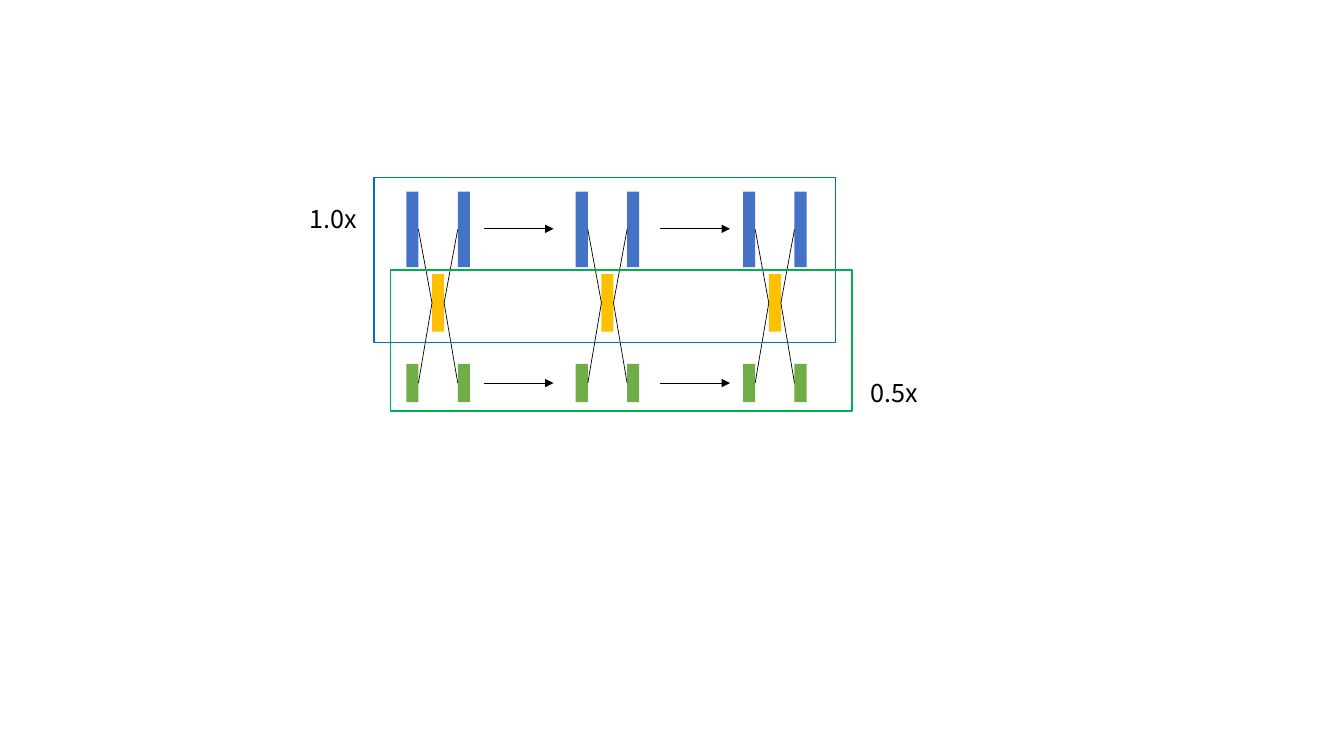
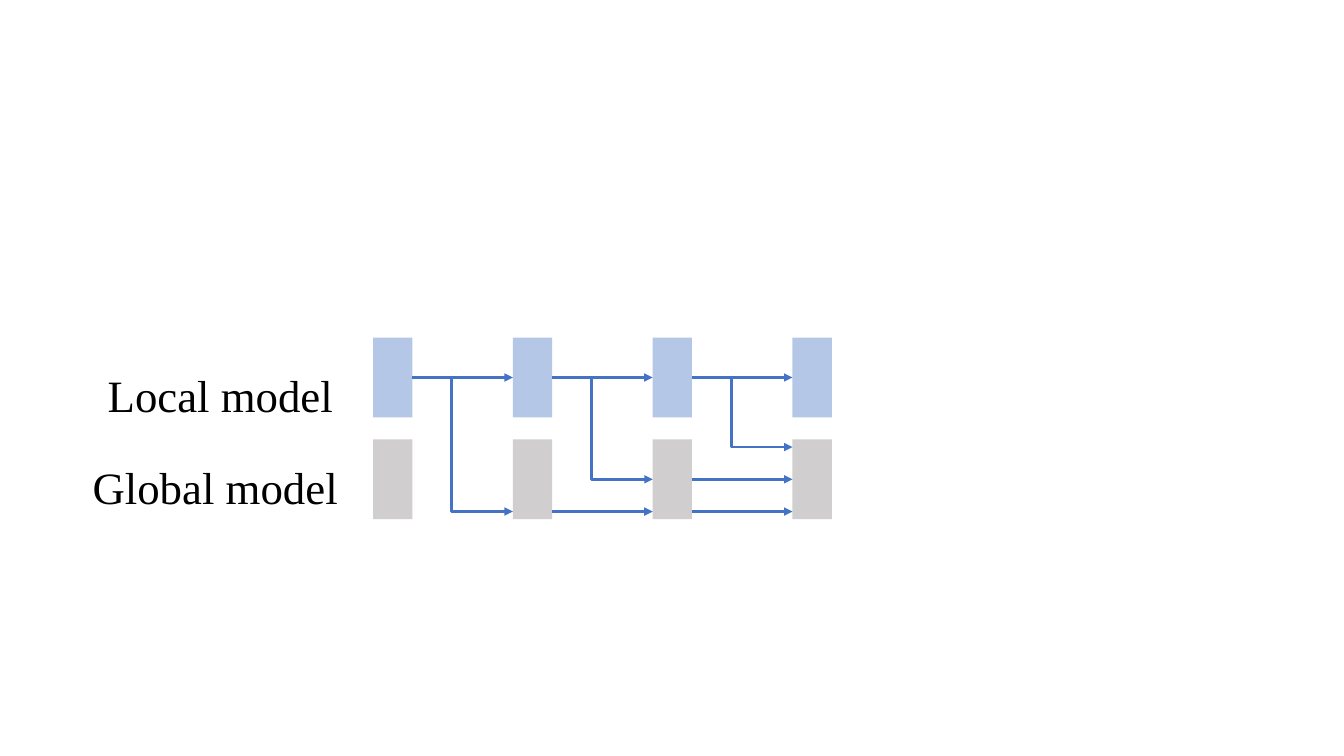
import dataclasses

import pptx
import pptx.dml.color
import pptx.enum.shapes
import pptx.oxml.ns
import pptx.util
import lxml.etree

SHAPE = pptx.enum.shapes.MSO_SHAPE
CONNECTOR = pptx.enum.shapes.MSO_CONNECTOR
inches = pptx.util.Inches
LEFT, RIGHT = 1, 3


@dataclasses.dataclass(frozen=True)
class Theme:
    """Colours, fonts and type sizes of both diagrams."""
    ink: str = "000000"
    full_scale: str = "4472C4"
    fusion: str = "FFC000"
    half_scale: str = "70AD47"
    full_frame: str = "0070C0"
    half_frame: str = "00B050"
    local: str = "B4C7E7"
    shared: str = "D0CECE"
    flow: str = "4472C4"
    scale_font: str = "Noto Sans CJK SC"
    scale_size: int = 18
    model_font: str = "Times New Roman"
    model_size: int = 32
    thin: float = 0.5
    frame: float = 1
    thick: float = 2


THEME = Theme()


def rgb(value):
    """Turn a hex string into a colour."""
    return pptx.dml.color.RGBColor.from_string(value)


def add_part(parent, tag, **attributes):
    """Append a DrawingML element to a parent element."""
    return lxml.etree.SubElement(parent, pptx.oxml.ns.qn(tag), attributes)


def add_block(slide, left, top, width, height, colour):
    """Draw a solid rectangle without an outline."""
    block = slide.shapes.add_shape(SHAPE.RECTANGLE, *map(inches, (left, top, width, height)))
    block.shadow.inherit = False
    block.fill.solid()
    block.fill.fore_color.rgb = rgb(colour)
    block.line.fill.background()
    return block


def add_frame(slide, left, top, width, height, colour):
    """Draw an outlined rectangle without a fill."""
    frame = add_block(slide, left, top, width, height, colour)
    frame.fill.background()
    frame.line.color.rgb = rgb(colour)
    frame.line.width = pptx.util.Pt(THEME.frame)


def add_label(slide, text, left, top, width, height, font, size):
    """Write a one-line label."""
    label = slide.shapes.add_textbox(*map(inches, (left, top, width, height)))
    label.text_frame.word_wrap = True
    label.text_frame.text = text
    run = label.text_frame.paragraphs[0].runs[0]
    run.font.name = font
    run.font.size = pptx.util.Pt(size)
    run.font.color.rgb = rgb(THEME.ink)


def style_line(line, colour, weight, arrow):
    """Colour a connector, drop its shadow and add an arrowhead if wanted."""
    line.line.color.rgb = rgb(colour)
    line.line.width = pptx.util.Pt(weight)
    properties = line._element.spPr
    if arrow:
        add_part(properties.find(pptx.oxml.ns.qn("a:ln")), "a:tailEnd", type="triangle")
    add_part(properties, "a:effectLst")


def add_arrow(slide, start, end, y, colour, weight):
    """Draw a free horizontal arrow."""
    arrow = slide.shapes.add_connector(CONNECTOR.STRAIGHT, *map(inches, (start, y, end, y)))
    style_line(arrow, colour, weight, True)


def join(slide, source, source_side, target, target_side, colour, weight, arrow=False):
    """Join the side middles of two blocks."""
    link = slide.shapes.add_connector(
        CONNECTOR.STRAIGHT, source.left, source.top, target.left, target.top)
    link.begin_connect(source, source_side)
    link.end_connect(target, target_side)
    style_line(link, colour, weight, arrow)


def add_branch(slide, left, top, right, bottom, colour, weight):
    """Draw an elbow arrow that runs down and then right."""
    x, y = (left + right) / 2, (top + bottom) / 2
    across, down = (right - left) / 2, (bottom - top) / 2
    branch = slide.shapes.add_connector(
        CONNECTOR.ELBOW, *map(inches, (x - down, y - across, x + down, y + across)))
    properties = branch._element.spPr
    transform = properties.find(pptx.oxml.ns.qn("a:xfrm"))
    transform.set("rot", "16200000")
    transform.set("flipH", "1")
    geometry = properties.find(pptx.oxml.ns.qn("a:prstGeom"))
    adjustments = geometry.find(pptx.oxml.ns.qn("a:avLst"))
    if adjustments is None:
        adjustments = add_part(geometry, "a:avLst")
    add_part(adjustments, "a:gd", name="adj1", fmla="val 100000")
    style_line(branch, colour, weight, True)


def add_exchange(slide, left):
    """Draw one fusion unit with full- and half-scale features on both sides."""
    width, offset = 0.12, 0.51
    fusion = add_block(slide, left + offset / 2, 2.72, width, 0.57, THEME.fusion)
    for top, height, colour in ((1.9, 0.75, THEME.full_scale), (3.61, 0.38, THEME.half_scale)):
        before, after = (
            add_block(slide, x, top, width, height, colour) for x in (left, left + offset))
        join(slide, before, RIGHT, fusion, LEFT, THEME.ink, THEME.thin)
        join(slide, fusion, RIGHT, after, LEFT, THEME.ink, THEME.thin)


def build_scales(slide):
    """Show features of two scales exchanged through fusion units."""
    for left in (4.03, 5.71, 7.37):
        add_exchange(slide, left)
    for start in (4.8, 6.55):
        for y in (2.27, 3.8):
            add_arrow(slide, start, start + 0.69, y, THEME.ink, THEME.thin)
    add_frame(slide, 3.71, 1.76, 4.58, 1.64, THEME.full_frame)
    add_frame(slide, 3.87, 2.68, 4.58, 1.4, THEME.half_frame)
    add_label(slide, "1.0x", 2.97, 1.97, 0.7, 0.4, THEME.scale_font, THEME.scale_size)
    add_label(slide, "0.5x", 8.54, 3.69, 0.81, 0.4, THEME.scale_font, THEME.scale_size)


def build_models(slide):
    """Show how each local stage feeds the later stages of the global model."""
    width, height, local_top, global_top = 0.39, 0.79, 3.35, 4.36
    columns = [3.7 + 4.16 / 3 * stage for stage in range(4)]
    local_middle, global_middle = local_top + height / 2, global_top + height / 2
    local_stages = [
        add_block(slide, x, local_top, width, height, THEME.local) for x in columns]
    global_stages = [
        add_block(slide, x, global_top, width, height, THEME.shared) for x in columns]
    flow = (THEME.flow, THEME.thick)
    for source, target in zip(local_stages, local_stages[1:]):
        join(slide, source, RIGHT, target, LEFT, *flow, arrow=True)
    for stage in range(3):
        port = global_middle + 0.32 * (1 - stage)
        add_branch(
            slide, columns[stage] + 2 * width, local_middle, columns[stage + 1], port, *flow)
        for later in range(stage + 1, 3):
            if stage == 1:
                join(slide, global_stages[later], RIGHT, global_stages[later + 1], LEFT,
                     *flow, arrow=True)
            else:
                add_arrow(slide, columns[later] + width, columns[later + 1], port, *flow)
    add_label(slide, "Global model", 0.82, 4.51, 2.9, 0.64, THEME.model_font, THEME.model_size)
    add_label(slide, "Local model", 0.97, 3.6, 2.56, 0.64, THEME.model_font, THEME.model_size)


def main():
    """Build and save both slides."""
    presentation = pptx.Presentation()
    presentation.slide_width = inches(13.33)
    presentation.slide_height = inches(7.5)
    for build in (build_scales, build_models):
        build(presentation.slides.add_slide(presentation.slide_layouts[6]))
    presentation.save("out.pptx")


if __name__ == "__main__":
    main()
